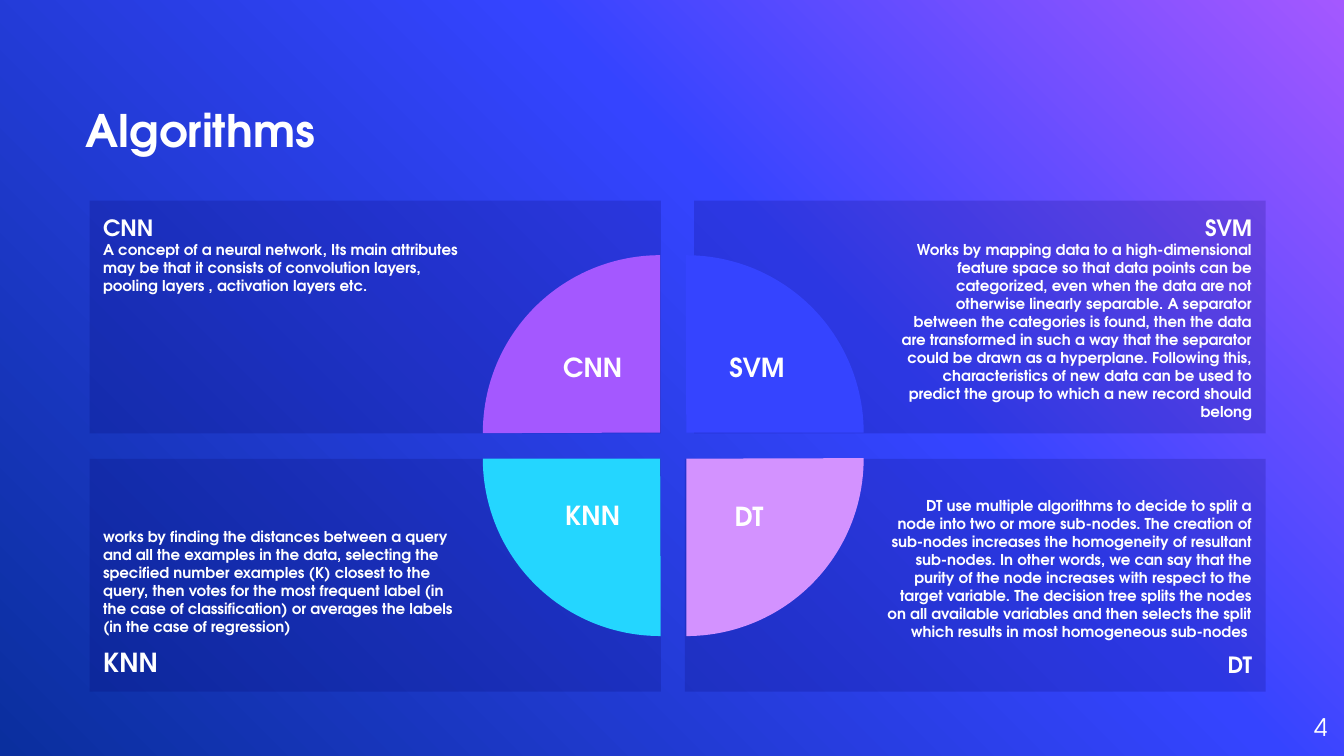
from copy import deepcopy
from dataclasses import dataclass

from lxml.etree import SubElement
from pptx import Presentation
from pptx.dml.color import RGBColor
from pptx.enum.shapes import MSO_SHAPE
from pptx.enum.text import MSO_ANCHOR, PP_ALIGN
from pptx.oxml.ns import qn
from pptx.util import Pt


@dataclass(frozen=True)
class Theme:
    """Colours, font and type sizes of the slide."""
    font: str = "TeX Gyre Adventor"
    text: str = "FFFFFF"
    panel: str = "050060"
    panel_alpha: int = 18000
    background: tuple = ((0, "A458FF"), (0.39, "3544FF"), (1, "0A2F9E"))
    cnn: str = "A458FF"
    svm: str = "3544FF"
    dt: str = "D392FF"
    knn: str = "24D6FF"
    title_size: float = 32
    label_size: float = 18.7
    number_size: float = 17.3
    heading_size: float = 16
    body_size: float = 10.7


THEME = Theme()

CNN_TEXT = ("A concept of a neural network, Its main attributes may be that it consists of "
            "convolution layers, pooling layers , activation layers etc.")
SVM_TEXT = ("Works by mapping data to a high-dimensional feature space so that data points can be "
            "categorized, even when the data are not otherwise linearly separable. A separator "
            "between the categories is found, then the data are transformed in such a way that "
            "the separator could be drawn as a hyperplane. Following this, characteristics of new "
            "data can be used to predict the group to which a new record should belong")
KNN_TEXT = ("works by finding the distances between a query and all the examples in the data, "
            "selecting the specified number examples (K) closest to the query, then votes for the "
            "most frequent label (in the case of classification) or averages the labels (in the "
            "case of regression)")
DT_TEXT = ("DT use multiple algorithms to decide to split a node into two or more sub-nodes. The "
           "creation of sub-nodes increases the homogeneity of resultant sub-nodes. In other "
           "words, we can say that the purity of the node increases with respect to the target "
           "variable. The decision tree splits the nodes on all available variables and then "
           "selects the split which results in most homogeneous sub-nodes ")

PANEL_TOP, PANEL_BOTTOM = 143.3, 327.7
PANEL_HEIGHT, PANEL_LEFT, PANEL_RIGHT = 166.3, 64, 904
PANEL_WIDTH = 408.2
MARGIN, WHEEL_MARGIN = 9.6, 144
PIE_LEFT, PIE_TOP, PIE_SIZE, PIE_GAP = 344.9, 182.3, 253.4, 18.6
LABEL_WIDTH, LABEL_HEIGHT = 66, 36.5


def paint_background(slide):
    """Fill the background with the diagonal three-stop gradient."""
    fill = slide.background.fill
    fill.gradient()
    first_stop = next(slide.element.iter(qn("a:gs")))
    first_stop.addnext(deepcopy(first_stop))
    for stop, (position, colour) in zip(fill.gradient_stops, THEME.background):
        stop.position = position
        stop.color.rgb = RGBColor.from_string(colour)
    fill.gradient_angle = 225


def write(frame, lines, align, anchor, insets, bold=True):
    """Write (text, size, space before) lines into a text frame."""
    frame.word_wrap = True
    frame.vertical_anchor = anchor
    (frame.margin_left, frame.margin_top,
     frame.margin_right, frame.margin_bottom) = map(Pt, insets)
    for index, (text, size, space_before) in enumerate(lines):
        paragraph = frame.add_paragraph() if index else frame.paragraphs[0]
        paragraph.text = text
        paragraph.alignment = align
        paragraph.space_before = Pt(space_before)
        paragraph.font.name = THEME.font
        paragraph.font.size = Pt(size)
        paragraph.font.bold = bold
        paragraph.font.color.rgb = RGBColor.from_string(THEME.text)


def add_text(slide, box, text, size, align, anchor, insets=(0, 0, 0, 0), bold=True):
    """Add a text box holding one line."""
    caption = slide.shapes.add_textbox(*map(Pt, box))
    write(caption.text_frame, [(text, size, 0)], align, anchor, insets, bold)


def add_filled(slide, preset, box, colour):
    """Add a flat preset shape without outline."""
    figure = slide.shapes.add_shape(preset, *map(Pt, box))
    figure.shadow.inherit = False
    figure.fill.solid()
    figure.fill.fore_color.rgb = RGBColor.from_string(colour)
    figure.line.fill.background()
    return figure


def add_panel(slide, left, top, width, lines, on_right, anchor):
    """Add a translucent panel whose text keeps clear of the wheel."""
    panel = add_filled(slide, MSO_SHAPE.RECTANGLE, (left, top, width, PANEL_HEIGHT), THEME.panel)
    colour = next(panel.element.spPr.iter(qn("a:srgbClr")))
    SubElement(colour, qn("a:alpha")).set("val", str(THEME.panel_alpha))
    sides = (WHEEL_MARGIN, MARGIN) if on_right else (MARGIN, WHEEL_MARGIN)
    align = PP_ALIGN.RIGHT if on_right else PP_ALIGN.LEFT
    write(panel.text_frame, lines, align, anchor, (sides[0], MARGIN, sides[1], MARGIN))


def add_quarter(slide, column, row, rotation, colour):
    """Add one quarter of the wheel."""
    box = (PIE_LEFT + column * PIE_GAP, PIE_TOP + row * PIE_GAP, PIE_SIZE, PIE_SIZE)
    quarter = add_filled(slide, MSO_SHAPE.PIE, box, colour)
    quarter.adjustments[0] = 107.89
    quarter.adjustments[1] = 162
    quarter.rotation = rotation


def add_label(slide, text, centre, top):
    """Add a quarter's name centred on the given x position."""
    box = (centre - LABEL_WIDTH / 2, top, LABEL_WIDTH, LABEL_HEIGHT)
    add_text(slide, box, text, THEME.label_size, PP_ALIGN.CENTER, MSO_ANCHOR.TOP,
             (7.2, 3.6, 7.2, 3.6))


def main():
    """Build the slide and save it."""
    deck = Presentation()
    deck.slide_width, deck.slide_height = Pt(960), Pt(540)
    slide = deck.slides.add_slide(deck.slide_layouts[6])
    paint_background(slide)
    add_text(slide, (61.2, 21.6, 631.4, 90), "Algorithms", THEME.title_size,
             PP_ALIGN.LEFT, MSO_ANCHOR.BOTTOM)
    add_text(slide, (890.6, 499, 57.6, 41), "4", THEME.number_size,
             PP_ALIGN.RIGHT, MSO_ANCHOR.MIDDLE, bold=False)

    heading, body, label = THEME.heading_size, THEME.body_size, THEME.label_size
    dt_width = PANEL_WIDTH + 6.6
    panels = (
        (PANEL_LEFT, PANEL_TOP, PANEL_WIDTH,
         [("CNN", heading, 0), (CNN_TEXT, body, 0)], False, MSO_ANCHOR.TOP),
        (PANEL_RIGHT - PANEL_WIDTH, PANEL_TOP, PANEL_WIDTH,
         [("SVM", heading, 0), (SVM_TEXT, body, 0)], True, MSO_ANCHOR.TOP),
        (PANEL_LEFT, PANEL_BOTTOM, PANEL_WIDTH,
         [(KNN_TEXT, body, 0), ("KNN", label, 8)], False, MSO_ANCHOR.BOTTOM),
        (PANEL_RIGHT - dt_width, PANEL_BOTTOM, dt_width,
         [(DT_TEXT, body, 0), ("DT", heading, 8)], True, MSO_ANCHOR.BOTTOM),
    )
    for panel in panels:
        add_panel(slide, *panel)

    quarters = ((0, 0, THEME.cnn), (1, 0, THEME.svm), (1, 1, THEME.dt), (0, 1, THEME.knn))
    for turn, (column, row, colour) in enumerate(quarters):
        add_quarter(slide, column, row, turn * 90, colour)

    for name, centre, top in (("CNN", 423.4, 247.7), ("SVM", 540.7, 247.7),
                              ("KNN", 423.4, 352.8), ("DT", 535, 353.5)):
        add_label(slide, name, centre, top)
    deck.save("out.pptx")


if __name__ == "__main__":
    main()
